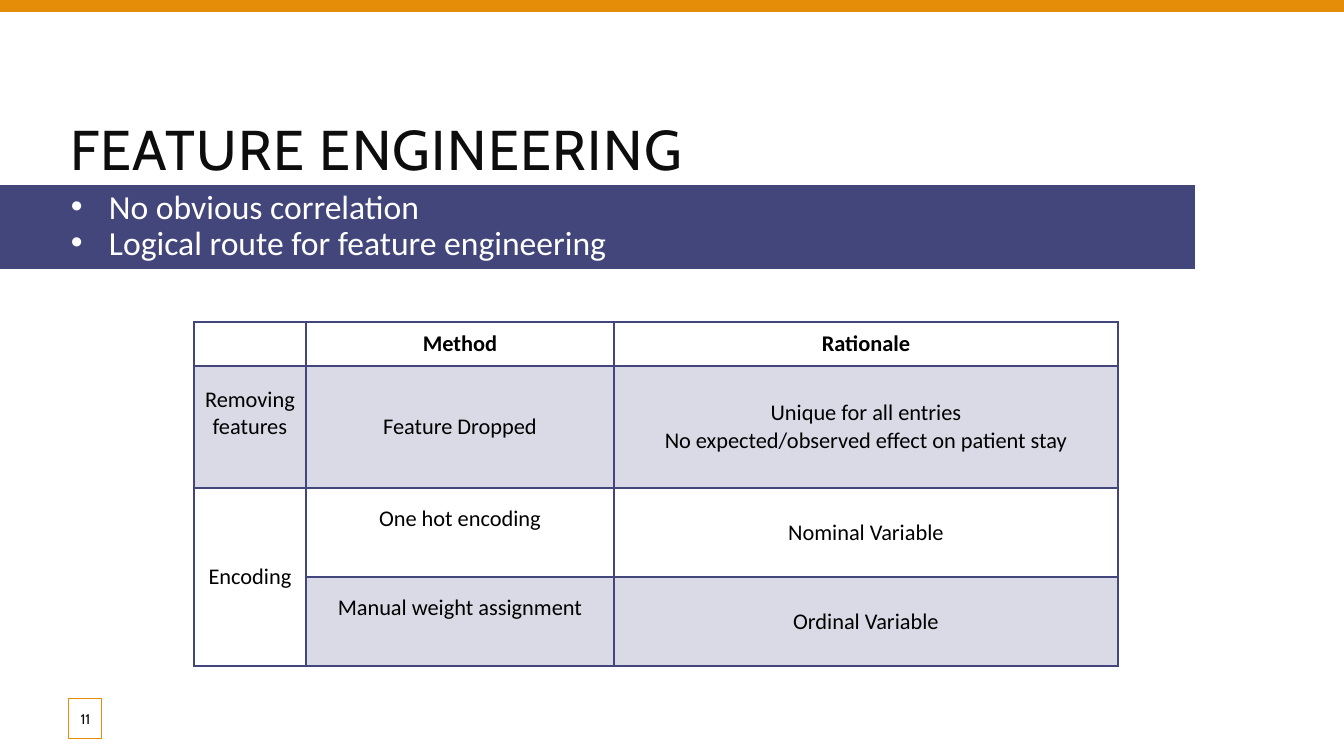
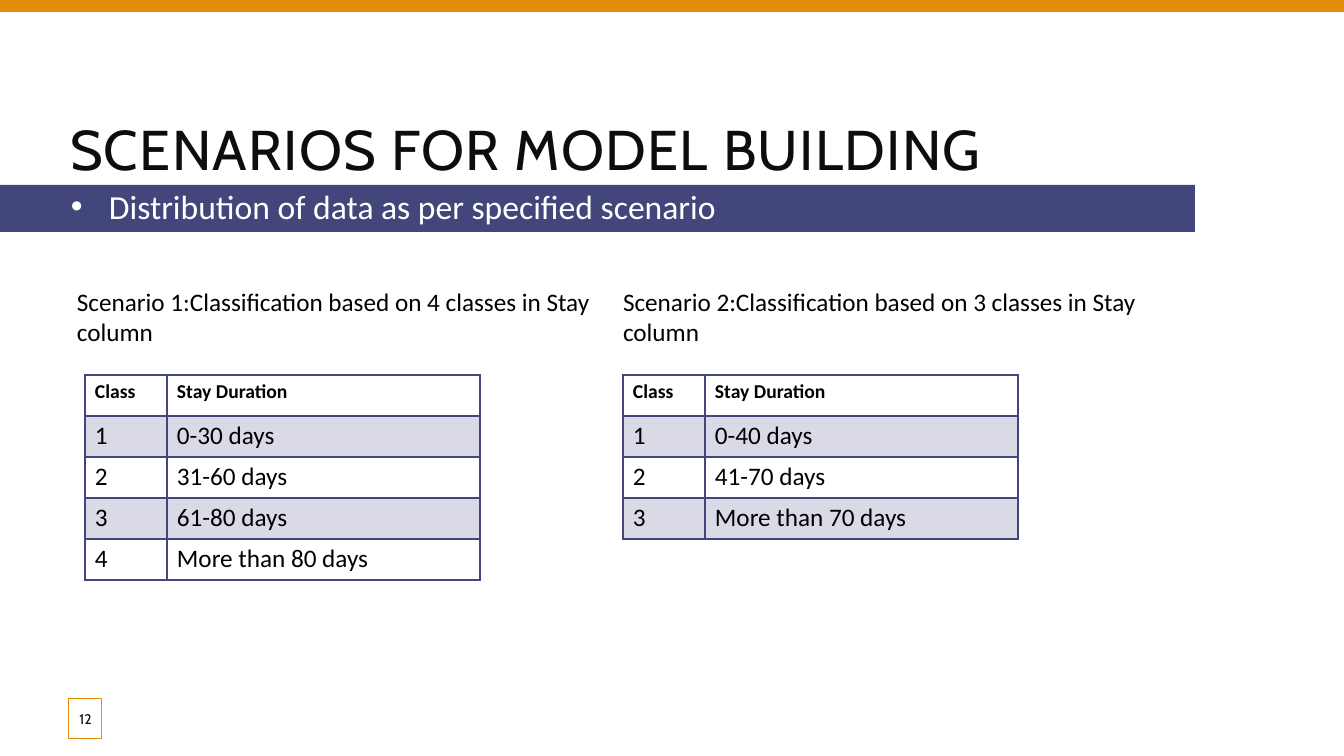
import pptx
import pptx.dml.color
import pptx.enum.shapes
import pptx.enum.text
import pptx.oxml
import pptx.oxml.ns
import pptx.util

RGB = pptx.dml.color.RGBColor
ORANGE = RGB(0xE5, 0x8C, 0x09)
NAVY = RGB(0x43, 0x46, 0x7B)
TINT = RGB(0xD9, 0xDA, 0xE5)
INK = RGB(0x0D, 0x0D, 0x0D)
BLACK = RGB(0, 0, 0)
WHITE = RGB(0xFF, 0xFF, 0xFF)

LEFT, CENTER = pptx.enum.text.PP_ALIGN.LEFT, pptx.enum.text.PP_ALIGN.CENTER
TOP, MIDDLE = pptx.enum.text.MSO_ANCHOR.TOP, pptx.enum.text.MSO_ANCHOR.MIDDLE
EMU_PER_PX = 914400 / 100.8
SLIDE_W, SLIDE_H = 1344, 756
LINE_PX, PAD_Y, PAD_X, LIFT = 37, 5, 10, 27

METHODS = [
    ["", "Method", "Rationale"],
    ["Removing\nfeatures", "Feature Dropped",
     "Unique for all entries\nNo expected/observed effect on patient stay"],
    ["Encoding", "One hot encoding", "Nominal Variable"],
    ["", "Manual weight assignment", "Ordinal Variable"],
]
STAY_HEADER = ["Class", "Stay Duration"]
SCENARIOS = [
    {"caption": "Scenario 1:Classification based on 4 classes in Stay column",
     "caption_box": (67, 281, 556, 72), "corner": (85, 375),
     "durations": ["0-30 days", "31-60 days", "61-80 days", "More than 80 days"]},
    {"caption": "Scenario 2:Classification based on 3 classes in Stay column",
     "caption_box": (613, 281, 588, 72), "corner": (623, 375),
     "durations": ["0-40 days", "41-70 days", "More than 70 days"]},
]
SLIDES = [
    {"title": "FEATURE ENGINEERING", "number": "11",
     "points": ["No obvious correlation", "Logical route for feature engineering"]},
    {"title": "SCENARIOS FOR MODEL BUILDING", "number": "12",
     "points": ["Distribution of data as per specified scenario"]},
]


def px(value):
    return pptx.util.Emu(round(value * EMU_PER_PX))


def add_xml(parent, tag, body="", position=None, **attributes):
    settings = " ".join(f'{key}="{value}"' for key, value in attributes.items())
    element = pptx.oxml.parse_xml(
        f'<a:{tag} {pptx.oxml.ns.nsdecls("a")} {settings}>{body}</a:{tag}>')
    parent.insert(len(parent) if position is None else position, element)


def write(frame, text, size=16, font="Calibri", color=BLACK, bold=False, align=LEFT,
          bullet=False, line_spacing=None, tracking=None):
    frame.word_wrap = True
    for index, line in enumerate(text.split("\n")):
        paragraph = frame.add_paragraph() if index else frame.paragraphs[0]
        paragraph.alignment = align
        if bullet:
            properties = paragraph._p.get_or_add_pPr()
            properties.set("marL", str(px(38)))
            properties.set("indent", str(-px(38)))
            add_xml(properties, "buClr", f'<a:srgbClr val="{color}"/>')
            add_xml(properties, "buFont", typeface="Arial")
            add_xml(properties, "buChar", char="•")
        if line_spacing:
            paragraph.line_spacing = line_spacing
        if not line:
            continue
        run = paragraph.add_run()
        run.text = line
        run.font.size = pptx.util.Pt(size)
        run.font.name = font
        run.font.bold = bold
        run.font.color.rgb = color
        if tracking:
            run._r.get_or_add_rPr().set("spc", str(tracking * 100))


def add_rectangle(slide, box, fill, line=None):
    shape = slide.shapes.add_shape(
        pptx.enum.shapes.MSO_SHAPE.RECTANGLE, *map(px, box))
    shape.shadow.inherit = False
    shape.fill.solid()
    shape.fill.fore_color.rgb = fill
    if line is None:
        shape.line.fill.background()
    else:
        shape.line.color.rgb = line
        shape.line.width = pptx.util.Pt(0.75)
    return shape


def set_margins(holder, left=PAD_X, top=PAD_Y, right=PAD_X, bottom=PAD_Y):
    holder.margin_left, holder.margin_top = px(left), px(top)
    holder.margin_right, holder.margin_bottom = px(right), px(bottom)


def add_text(slide, box, text, **text_format):
    frame = slide.shapes.add_textbox(*map(px, box)).text_frame
    set_margins(frame)
    write(frame, text, **text_format)


def add_grid(slide, corner, widths, heights, rows, header_size=16, body_size=16,
             align=LEFT, anchor=TOP, tinted=(), lifted=(), merged=None):
    table = slide.shapes.add_table(
        len(rows), len(widths), *map(px, (*corner, sum(widths), sum(heights)))).table
    table.first_row = table.horz_banding = False
    for column, width in zip(table.columns, widths):
        column.width = px(width)
    for row, height in zip(table.rows, heights):
        row.height = px(height)
    for r, texts in enumerate(rows):
        for c, text in enumerate(texts):
            cell = table.cell(r, c)
            cell.vertical_anchor = anchor
            set_margins(cell, bottom=PAD_Y + LIFT * ((r, c) in lifted))
            write(cell.text_frame, text, size=body_size if r else header_size,
                  bold=r == 0, align=align)
            cell.fill.solid()
            cell.fill.fore_color.rgb = TINT if (r, c) in tinted else WHITE
            points = {"lnL": 1, "lnR": 1, "lnT": 2 if r == 1 else 1,
                      "lnB": 2 if r == 0 else 1}
            for position, (side, width) in enumerate(points.items()):
                add_xml(cell._tc.get_or_add_tcPr(), side,
                        f'<a:solidFill><a:srgbClr val="{NAVY}"/></a:solidFill>',
                        position, w=pptx.util.Pt(width))
    if merged:
        first, last = merged
        table.cell(*first).merge(table.cell(*last))


def add_frame(presentation, title, number, points):
    slide = presentation.slides.add_slide(presentation.slide_layouts[6])
    add_rectangle(slide, (0, 0, SLIDE_W, 12), ORANGE)
    add_text(slide, (60, 109, 1191, 78), title, size=40, font="Cabin", color=INK,
             tracking=1)
    band = add_rectangle(
        slide, (0, 185, 1195, LINE_PX * len(points) + 2 * PAD_Y), NAVY).text_frame
    band.vertical_anchor = TOP
    set_margins(band, left=71)
    write(band, "\n".join(points), size=24, color=WHITE, bullet=True, line_spacing=0.9)
    page = add_rectangle(slide, (69, 699, 33, 40), WHITE, ORANGE).text_frame
    page.vertical_anchor = MIDDLE
    set_margins(page, left=0, right=0)
    write(page, number, size=10, font="Cabin", color=INK, align=CENTER)
    return slide


def main():
    presentation = pptx.Presentation()
    presentation.slide_width, presentation.slide_height = px(SLIDE_W), px(SLIDE_H)
    engineering, scenarios = [add_frame(presentation, **content) for content in SLIDES]

    add_grid(engineering, (194, 322), [112, 308, 504], [44, 122, 89, 89], METHODS,
             align=CENTER, anchor=MIDDLE,
             tinted={(1, 0), (1, 1), (1, 2), (3, 1), (3, 2)},
             lifted={(1, 0), (2, 1), (3, 1)}, merged=((2, 0), (3, 0)))

    for scenario in SCENARIOS:
        add_text(scenarios, scenario["caption_box"], scenario["caption"], size=18)
        rows = [STAY_HEADER] + [
            [str(label), days] for label, days in enumerate(scenario["durations"], 1)]
        add_grid(scenarios, scenario["corner"], [82, 313], [41] * len(rows), rows,
                 header_size=14, body_size=18,
                 tinted={(r, c) for r in range(1, len(rows), 2) for c in range(2)})

    presentation.save("out.pptx")


if __name__ == "__main__":
    main()
